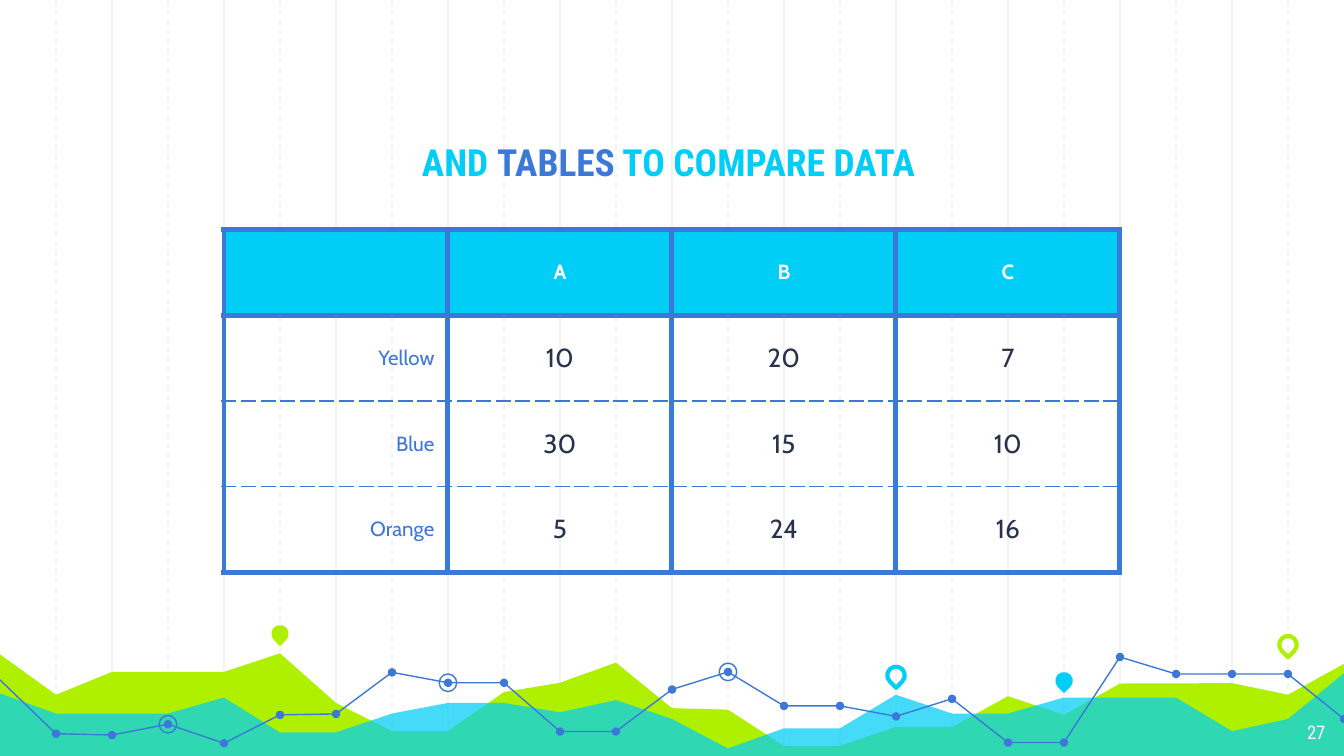
from lxml import etree
from pptx import Presentation
from pptx.dml.color import RGBColor
from pptx.enum import dml, shapes, text
from pptx.oxml import ns
from pptx.util import Pt

CYAN = RGBColor(0x00, 0xCE, 0xF6)
LIME = RGBColor(0xAF, 0xF0, 0x00)
BLUE = RGBColor(0x3C, 0x78, 0xD8)
NAVY = RGBColor(0x28, 0x32, 0x4A)
GRAY = RGBColor(0xF3, 0xF3, 0xF3)
WHITE = RGBColor(0xFF, 0xFF, 0xFF)
STEP = 30  # distance between the vertical grid lines
WIDTH, HEIGHT = 720, 405


def write(paragraph, words, font="Cabin", size=11, color=NAVY, bold=False, align=None):
    """Add one formatted run to the paragraph."""
    run = paragraph.add_run()
    run.text = words
    run.font.name = font
    run.font.size = Pt(size)
    run.font.bold = bold
    run.font.color.rgb = color
    if align is not None:
        paragraph.alignment = align


def paint(shape, fill=None, line=None, width=0.75):
    """Give the shape a flat fill and outline; None leaves either out."""
    shape.shadow.inherit = False
    for part, color in ((shape.fill, fill), (shape.line.fill, line)):
        if color is None:
            part.background()
        else:
            part.solid()
            part.fore_color.rgb = color
    if line is not None:
        shape.line.width = Pt(width)


presentation = Presentation()
presentation.slide_width, presentation.slide_height = Pt(WIDTH), Pt(HEIGHT)
slide = presentation.slides.add_slide(presentation.slide_layouts[5])
canvas = slide.shapes

# Vertical grid, every other line dashed
for index in range(1, WIDTH // STEP):
    x = Pt(index * STEP)
    grid_line = canvas.add_connector(shapes.MSO_CONNECTOR.STRAIGHT, x, 0, x, Pt(407))
    grid_line.line.color.rgb = GRAY
    grid_line.line.width = Pt(0.75)
    if index % 2:
        grid_line.line.dash_style = dml.MSO_LINE.DASH
    etree.SubElement(grid_line._element.spPr, ns.qn("a:effectLst"))

# Areas: heights keyed by grid line
lime_heights = {
    0: 350.6, 1: 372.2, 2: 360, 4: 360, 5: 350, 6: 376.6, 7: 391.7, 8: 391.7,
    9: 370.8, 10: 365.8, 11: 355, 12: 379.4, 13: 380.2, 14: 399.6, 15: 399.6,
    16: 389.5, 17: 389.5, 18: 373, 19: 383, 20: 366.2, 22: 366, 23: 372.2, 24: 355.7,
}
cyan_heights = {
    0: 371.5, 1: 382.3, 3: 382.3, 4: 373.7, 5: 392.4, 6: 392.4, 7: 382.3, 8: 376.6,
    9: 376.6, 10: 381.6, 11: 375.1, 12: 385.2, 13: 401, 14: 390.2, 15: 390.2,
    16: 372.2, 17: 382.3, 18: 382.3, 19: 373.7, 21: 373.7, 22: 391.7, 23: 385.2, 24: 360.7,
}
for heights, color, opacity in ((lime_heights, LIME, 100), (cyan_heights, CYAN, 73)):
    points = [(Pt(index * STEP), Pt(y)) for index, y in heights.items()]
    builder = canvas.build_freeform(Pt(-2), Pt(407))
    builder.add_line_segments(points + [(Pt(WIDTH + 2), Pt(407))], close=True)
    area = builder.convert_to_shape()
    paint(area, fill=color)
    if opacity < 100:
        tint = area._element.spPr.find(ns.qn("a:solidFill"))[0]
        etree.SubElement(tint, ns.qn("a:alpha"), val=str(opacity * 1000))

# Line with a dot at each grid line, rings around some dots
line_heights = [
    364.3, 393.1, 393.8, 388, 398.2, 383, 382.5, 360.2, 365.8, 365.8, 391.9, 391.9, 369.4,
    360, 378.2, 378.2, 383.8, 374.4, 397.8, 397.8, 352, 361.1, 361.1, 361.1, 385.2,
]
points = [(Pt(index * STEP), Pt(y)) for index, y in enumerate(line_heights)]
builder = canvas.build_freeform(*points[0])
builder.add_line_segments(points[1:], close=False)
paint(builder.convert_to_shape(), line=BLUE)

dots = [(index, 4.5, BLUE, None) for index in range(1, len(line_heights))]
rings = [(index, 9.4, None, BLUE) for index in (3, 8, 13)]
for index, size, fill, line in dots + rings:
    left, top = index * STEP - size / 2, line_heights[index] - size / 2
    circle = canvas.add_shape(shapes.MSO_SHAPE.OVAL, Pt(left), Pt(top), Pt(size), Pt(size))
    paint(circle, fill=fill, line=line)

# Map pins
PIN = 9.4
for index, y, fill, line in (
    (5, 339.5, LIME, None),
    (16, 361.8, None, CYAN),
    (19, 364.7, CYAN, None),
    (23, 345.4, None, LIME),
):
    left, top = index * STEP - PIN / 2, y - PIN / 2
    pin = canvas.add_shape(shapes.MSO_SHAPE.TEAR, Pt(left), Pt(top), Pt(PIN), Pt(PIN))
    pin.rotation = 135
    paint(pin, fill=fill, line=line, width=2.25)

# Title, brought in front of the grid
title = canvas.title
title.left, title.top, title.width, title.height = Pt(82.8), Pt(49.7), Pt(550.8), Pt(56.2)
title._element.getparent().append(title._element)
frame = title.text_frame
frame.auto_size = text.MSO_AUTO_SIZE.NONE
frame.vertical_anchor = text.MSO_ANCHOR.BOTTOM
frame.margin_left = frame.margin_right = frame.margin_top = frame.margin_bottom = Pt(7.2)
for words, color in (("AND ", CYAN), ("TABLES", BLUE), (" TO COMPARE DATA", CYAN)):
    write(frame.paragraphs[0], words, font="Roboto Condensed", size=20, color=color,
          bold=True, align=text.PP_ALIGN.CENTER)

# Table
rows = [
    ["", "A", "B", "C"],
    ["Yellow", "10", "20", "7"],
    ["Blue", "30", "15", "10"],
    ["Orange", "5", "24", "16"],
]
table = canvas.add_table(4, 4, Pt(120), Pt(123), Pt(480), Pt(183.6)).table
table.first_row = table.horz_banding = False
for column in table.columns:
    column.width = Pt(120)
for row_index, row in enumerate(rows):
    table.rows[row_index].height = Pt(45.9)
    for column_index, words in enumerate(row):
        cell = table.cell(row_index, column_index)
        cell.vertical_anchor = text.MSO_ANCHOR.MIDDLE
        cell.margin_left = cell.margin_right = Pt(7.2)
        cell.margin_top = cell.margin_bottom = Pt(5)
        if row_index == 0:
            cell.fill.solid()
            cell.fill.fore_color.rgb = CYAN
            style = dict(color=WHITE, bold=True, align=text.PP_ALIGN.CENTER)
        else:
            cell.fill.background()
            style = dict(size=14, align=text.PP_ALIGN.CENTER)
            if column_index == 0:
                style = dict(color=BLUE, align=text.PP_ALIGN.RIGHT)
        if words:
            write(cell.text_frame.paragraphs[0], words, **style)

        dashed_sides = {"T": row_index > 1, "B": 0 < row_index < len(rows) - 1}
        properties = cell._tc.get_or_add_tcPr()
        for position, side in enumerate("LRTB"):
            dashed = dashed_sides.get(side, False)
            border = etree.Element(ns.qn(f"a:ln{side}"), w=str(Pt(0.75 if dashed else 3)))
            solid = etree.SubElement(border, ns.qn("a:solidFill"))
            etree.SubElement(solid, ns.qn("a:srgbClr"), val=str(BLUE))
            etree.SubElement(border, ns.qn("a:prstDash"), val="dash" if dashed else "solid")
            properties.insert(position, border)

# Slide number
number = canvas.add_textbox(Pt(673.9), Pt(380.2), Pt(43.2), Pt(25.2)).text_frame
number.word_wrap = True
number.margin_left = number.margin_right = number.margin_top = number.margin_bottom = Pt(7.2)
write(number.paragraphs[0], "27", font="Roboto Condensed", size=10, color=WHITE,
      align=text.PP_ALIGN.RIGHT)

presentation.save("out.pptx")
